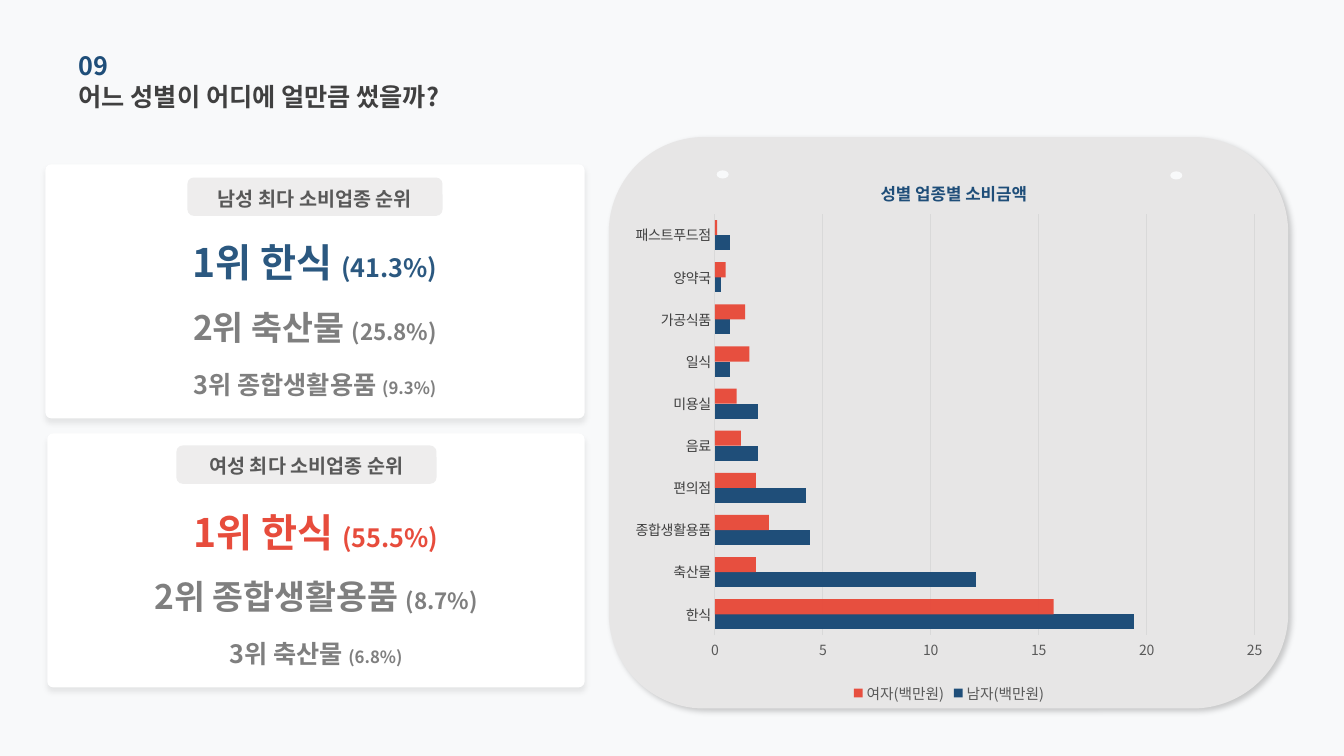
from lxml import etree
from pptx import Presentation
from pptx.chart.data import CategoryChartData
from pptx.dml.color import RGBColor
from pptx.enum.chart import XL_CHART_TYPE, XL_LEGEND_POSITION, XL_TICK_MARK
from pptx.enum.shapes import MSO_SHAPE
from pptx.enum.text import MSO_ANCHOR, PP_ALIGN
from pptx.oxml import parse_xml
from pptx.oxml.ns import nsdecls, qn
from pptx.util import Pt

ROUNDED, OVAL = MSO_SHAPE.ROUNDED_RECTANGLE, MSO_SHAPE.OVAL
LEFT, CENTER, MIDDLE = PP_ALIGN.LEFT, PP_ALIGN.CENTER, MSO_ANCHOR.MIDDLE
BAR, BOTTOM, NO_TICK = XL_CHART_TYPE.BAR_CLUSTERED, XL_LEGEND_POSITION.BOTTOM, XL_TICK_MARK.NONE

FONT = "Noto Sans CJK KR"
BACKGROUND = RGBColor(0xF8, 0xF9, 0xFA)
WHITE = RGBColor(0xFF, 0xFF, 0xFF)
PANEL = RGBColor(0xE7, 0xE6, 0xE6)
PILL = RGBColor(0xD0, 0xCE, 0xCE)
GRID = RGBColor(0xD9, 0xD9, 0xD9)
DARK = RGBColor(0x40, 0x40, 0x40)
MUTED = RGBColor(0x59, 0x59, 0x59)
GRAY = RGBColor(0x7F, 0x7F, 0x7F)
NAVY = RGBColor(0x1F, 0x4E, 0x79)
BLUE = RGBColor(0x2B, 0x58, 0x80)
RED = RGBColor(0xE7, 0x4C, 0x3C)

RANK_ROWS = [(52.6, 34.6, 28, 18), (85.7, 60.5, 24, 16), (126.7, 60.5, 18, 12)]
CARD_HEIGHT = 181.4
CARDS = [
    ((32.4, 117.4, 385.2), (133.9, 9.4, 182.2), "남성 최다 소비업종 순위", BLUE,
     [("1위 한식 ", "(41.3%)"), ("2위 축산물 ", "(25.8%)"), ("3위 종합생활용품 ", "(9.3%)")]),
    ((33.8, 309.6, 383.8), (126, 8.6, 185.8), "여성 최다 소비업종 순위", RED,
     [("1위 한식 ", "(55.5%)"), ("2위 종합생활용품 ", "(8.7%)"), ("3위 축산물 ", "(6.8%)")]),
]
CATEGORIES = ["한식", "축산물", "종합생활용품", "편의점", "음료",
              "미용실", "일식", "가공식품", "양약국", "패스트푸드점"]
SPENDING = [
    ("남자(백만원)", [19.4, 12.1, 4.4, 4.2, 2, 2, 0.7, 0.7, 0.3, 0.7], NAVY, 100),
    ("여자(백만원)", [15.7, 1.9, 2.5, 1.9, 1.2, 1, 1.6, 1.4, 0.5, 0.1], RED, 98),
]


def style_font(font, size, color, bold=False):
    font.size, font.bold, font.name = Pt(size), bold, FONT
    font.color.rgb = color


def write(frame, *parts, color, align=LEFT):
    frame.word_wrap = True
    frame.vertical_anchor = MIDDLE
    frame.margin_left = frame.margin_right = frame.margin_top = frame.margin_bottom = 0
    paragraph = frame.paragraphs[0]
    paragraph.alignment = align
    for text, size in parts:
        run = paragraph.add_run()
        run.text = text
        style_font(run.font, size, color, True)
        east_asian = etree.SubElement(run.font._element, qn("a:ea"))
        east_asian.set("typeface", FONT)


def add_text(slide, box, *parts, **style):
    write(slide.shapes.add_textbox(*map(Pt, box)).text_frame, *parts, **style)


def set_alpha(fill_parent, percent):
    color = fill_parent.find(qn("a:solidFill"))[0]
    etree.SubElement(color, qn("a:alpha")).set("val", str(percent * 1000))


def add_block(slide, preset, box, color, radius=None, alpha=100, shadow=None):
    block = slide.shapes.add_shape(preset, *map(Pt, box))
    block.shadow.inherit = False
    block.fill.solid()
    block.fill.fore_color.rgb = color
    block.line.fill.background()
    properties = block._element.spPr
    if radius is not None:
        block.adjustments[0] = radius
    if alpha < 100:
        set_alpha(properties, alpha)
    if shadow:
        opacity, angle = shadow
        properties.find(qn("a:effectLst")).append(parse_xml(
            f'<a:outerShdw {nsdecls("a")} blurRad="{Pt(4)}" dist="{Pt(3)}" dir="{angle * 60000}" '
            f'algn="ctr" rotWithShape="0"><a:srgbClr val="000000">'
            f'<a:alpha val="{opacity * 1000}"/></a:srgbClr></a:outerShdw>'))


def add_rank_card(slide, card, pill, heading, accent, ranks):
    left, top, width = card
    add_block(slide, ROUNDED, (left, top, width, CARD_HEIGHT), WHITE, radius=0.023, shadow=(8, 90))
    for index, ((item, share), row) in enumerate(zip(ranks, RANK_ROWS)):
        offset, height, item_size, share_size = row
        add_text(slide, (left, top + offset, width, height), (item, item_size), (share, share_size),
                 color=GRAY if index else accent, align=CENTER)
    pill_left, pill_offset, pill_width = pill
    pill_top = top + pill_offset
    add_block(slide, ROUNDED, (pill_left, pill_top, pill_width, 27.4), PILL, alpha=36)
    add_text(slide, (pill_left, pill_top, pill_width, 29.5), (heading, 14), color=MUTED, align=CENTER)


def layout_xml(x, y, size=None, inner=False):
    target = '<c:layoutTarget val="inner"/>' if inner else ""
    extent = f'<c:w val="{size[0]}"/><c:h val="{size[1]}"/>' if size else ""
    return parse_xml(
        f'<c:layout {nsdecls("c")}><c:manualLayout>{target}<c:xMode val="edge"/><c:yMode val="edge"/>'
        f'<c:x val="{x}"/><c:y val="{y}"/>{extent}</c:manualLayout></c:layout>')


def place(element, layout, index):
    for old in element.findall(qn("c:layout")):
        element.remove(old)
    element.insert(index, layout)


def add_spending_chart(slide):
    data = CategoryChartData()
    data.categories = CATEGORIES
    for name, values, _, _ in SPENDING:
        data.add_series(name, values)
    chart = slide.shapes.add_chart(BAR, Pt(445.7), Pt(109.4), Pt(464.4), Pt(396), data).chart
    style_font(chart.font, 10, MUTED)

    chart.has_title = True
    title = chart.chart_title
    title.text_frame.text = "성별 업종별 소비금액"
    style_font(title.text_frame.paragraphs[0].runs[0].font, 12, NAVY, True)
    title.include_in_layout = False
    place(title._element, layout_xml(0.39, 0.04), 1)
    place(chart._chartSpace.chart.plotArea, layout_xml(0.14, 0.11, (0.83, 0.76), inner=True), 0)

    plot = chart.plots[0]
    plot.gap_width, plot.overlap, plot.vary_by_categories = 80, 0, False
    for series, (_, _, color, alpha) in zip(plot.series, SPENDING):
        series.format.fill.solid()
        series.format.fill.fore_color.rgb = color
        if alpha < 100:
            set_alpha(series._element.spPr, alpha)

    for axis, color in ((chart.category_axis, DARK), (chart.value_axis, MUTED)):
        axis.major_tick_mark = axis.minor_tick_mark = NO_TICK
        style_font(axis.tick_labels.font, 10, color)
    chart.category_axis.format.line.color.rgb = GRID
    chart.category_axis.format.line.width = Pt(0.75)
    amounts = chart.value_axis
    amounts.minimum_scale, amounts.maximum_scale, amounts.major_unit = 0, 25, 5
    amounts.tick_labels.number_format = "General"
    amounts.tick_labels.number_format_is_linked = False
    amounts.format.line.fill.background()
    amounts.major_gridlines.format.line.color.rgb = GRID
    amounts.major_gridlines.format.line.width = Pt(0.75)

    chart.has_legend = True
    chart.legend.position = BOTTOM
    chart.legend.include_in_layout = False
    style_font(chart.legend.font, 10.5, MUTED)


def main():
    deck = Presentation()
    deck.slide_width, deck.slide_height = Pt(960), Pt(540)
    slide = deck.slides.add_slide(deck.slide_layouts[5])
    slide.background.fill.solid()
    slide.background.fill.fore_color.rgb = BACKGROUND

    heading = slide.shapes.title
    heading.left, heading.top, heading.width, heading.height = Pt(56.2), Pt(54), Pt(325.4), Pt(29.5)
    write(heading.text_frame, ("어느 성별이 어디에 얼만큼 썼을까?", 18), color=DARK)
    add_text(slide, (56.2, 31.7, 325.4, 29.5), ("09", 18), color=NAVY)

    add_block(slide, ROUNDED, (434.9, 97.9, 485.3, 408.2), PANEL, shadow=(20, 45))
    for left, top in ((511.9, 121.7), (835.9, 122.4)):
        add_block(slide, OVAL, (left, top, 8.6, 5.8), BACKGROUND)
    for card in CARDS:
        add_rank_card(slide, *card)
    add_spending_chart(slide)
    deck.save("out.pptx")


if __name__ == "__main__":
    main()
